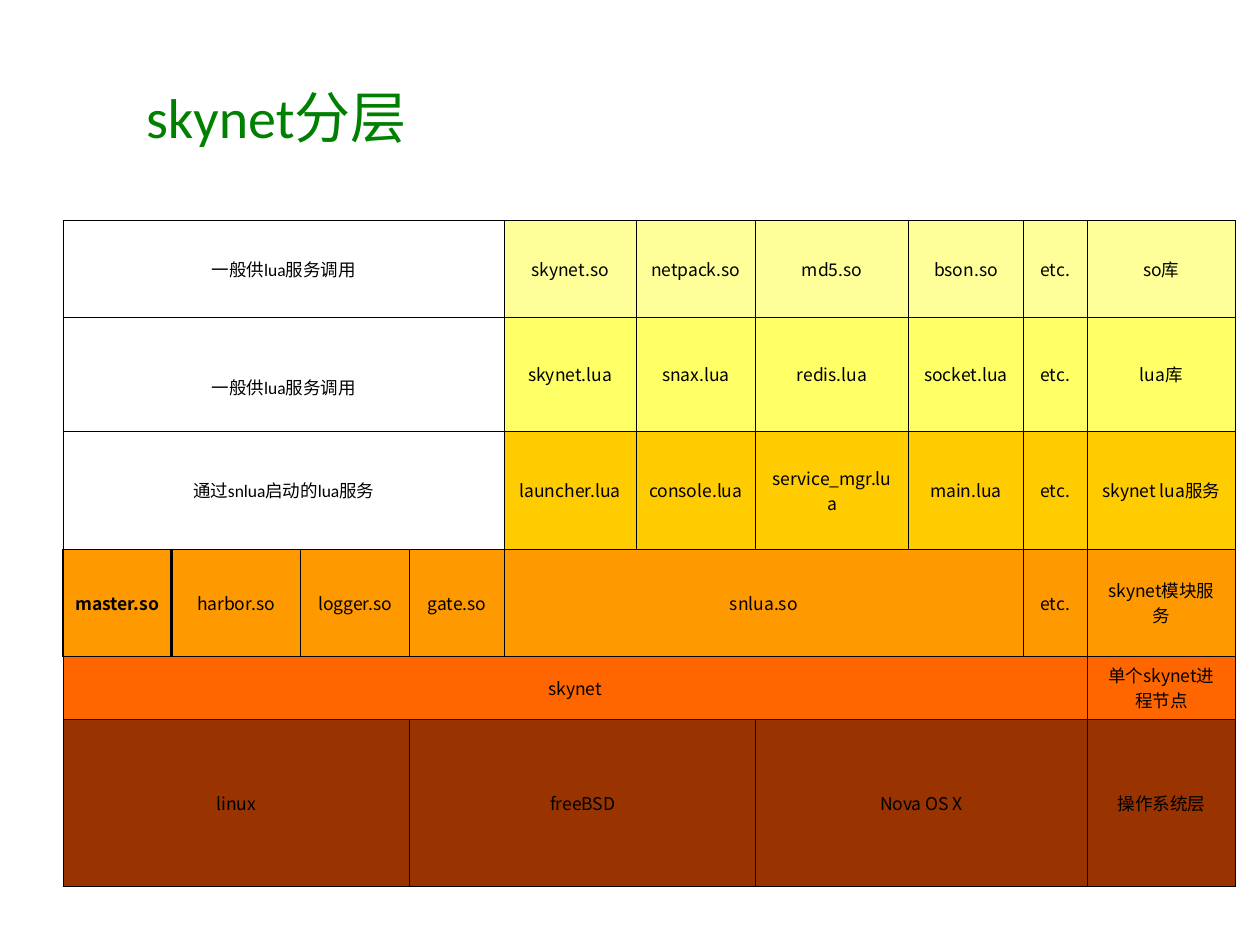
from dataclasses import dataclass
from typing import Optional

from lxml.etree import SubElement
from pptx import Presentation
from pptx.dml.color import RGBColor as RGB
from pptx.enum.text import MSO_ANCHOR as Anchor, PP_ALIGN as Align
from pptx.oxml.ns import qn
from pptx.util import Pt


@dataclass(frozen=True)
class Theme:
    title: str = "008000"
    ink: str = "000000"
    so_lib: str = "FFFF99"
    lua_lib: str = "FFFF66"
    lua_service: str = "FFCC00"
    module: str = "FF9900"
    process: str = "FF6600"
    system: str = "993300"
    latin: str = "Calibri"
    cjk: str = "Noto Sans CJK SC"
    title_size: float = 32
    cell_size: float = 10
    thin: float = 0.45
    thick: float = 1.47


@dataclass(frozen=True)
class Block:
    text: str
    span: int = 1
    bold: bool = False
    side_inset: float = 7.2
    top_inset: float = 3.6
    thick_sides: str = ""


@dataclass(frozen=True)
class Note(Block):
    """An unfilled remark beside the Lua layers."""
    span: int = 4


@dataclass(frozen=True)
class Layer:
    height: float
    fill: str
    blocks: tuple[Block, ...]


THEME = Theme()
COLUMNS = (62, 73.6, 62.6, 54, 75.2, 68.4, 87.4, 65.6, 36.6, 84.6)


def blocks(*names: str) -> tuple[Block, ...]:
    return tuple(Block(name) for name in names)


LAYERS = (
    Layer(55.4, THEME.so_lib, (
        Note("一般供lua服务调用"),
        *blocks("skynet.so", "netpack.so", "md5.so", "bson.so", "etc.", "so库"))),
    Layer(65, THEME.lua_lib, (
        Note("一般供lua服务调用", top_inset=18),
        *blocks("skynet.lua", "snax.lua", "redis.lua", "socket.lua", "etc.", "lua库"))),
    Layer(67.4, THEME.lua_service, (
        Note("通过snlua启动的lua服务"),
        Block("launcher.lua"),
        Block("console.lua", side_inset=6),
        Block("service_mgr.lua", side_inset=8),
        *blocks("main.lua", "etc."),
        Block("skynet lua服务", side_inset=8))),
    Layer(61.2, THEME.module, (
        Block("master.so", bold=True, side_inset=4, thick_sides="LR"),
        Block("harbor.so", thick_sides="L"),
        *blocks("logger.so", "gate.so"),
        Block("snlua.so", 4),
        *blocks("etc.", "skynet模块服务"))),
    Layer(36, THEME.process, (Block("skynet", 9), Block("单个skynet进程节点"))),
    Layer(95.4, THEME.system, (
        Block("linux", 3), Block("freeBSD", 3), Block("Nova OS X", 3),
        Block("操作系统层"))),
)


def add_run(p, text: str, size: float, color: str, latin: str, bold: bool = False) -> None:
    r = p.add_run()
    r.text = text
    font = r.font
    font.size, font.bold, font.name = Pt(size), bold, latin
    font.color.rgb = RGB.from_string(color)
    SubElement(r._r.get_or_add_rPr(), qn("a:ea")).set("typeface", THEME.cjk)


def set_borders(cell, thick_sides: str) -> None:
    tc_pr = cell._tc.get_or_add_tcPr()
    for side in "LRTB":
        width = THEME.thick if side in thick_sides else THEME.thin
        line = SubElement(tc_pr, qn(f"a:ln{side}"), w=str(int(Pt(width))))
        fill = SubElement(line, qn("a:solidFill"))
        SubElement(fill, qn("a:srgbClr"), val=THEME.ink)


def style_cell(cell, block: Block, fill: Optional[str]) -> None:
    set_borders(cell, block.thick_sides)
    if fill is None:
        cell.fill.background()
    else:
        cell.fill.solid()
        cell.fill.fore_color.rgb = RGB.from_string(fill)


def write_cell(cell, block: Block) -> None:
    cell.vertical_anchor = Anchor.MIDDLE
    cell.margin_left = cell.margin_right = Pt(block.side_inset)
    cell.margin_top, cell.margin_bottom = Pt(block.top_inset), Pt(3.6)
    p = cell.text_frame.paragraphs[0]
    p.alignment = Align.CENTER
    latin = THEME.latin if isinstance(block, Note) else THEME.cjk
    add_run(p, block.text, THEME.cell_size, THEME.ink, latin, block.bold)


def add_title(s, text: str) -> None:
    tf = s.shapes.add_textbox(Pt(76.4), Pt(21.6), Pt(572.4), Pt(90)).text_frame
    tf.word_wrap = True
    tf.vertical_anchor = Anchor.MIDDLE
    add_run(tf.paragraphs[0], text, THEME.title_size, THEME.title, THEME.latin)


def add_layer_table(s) -> None:
    height = sum(layer.height for layer in LAYERS)
    frame = s.shapes.add_table(len(LAYERS), len(COLUMNS), Pt(36), Pt(126),
                               Pt(sum(COLUMNS)), Pt(height))
    table = frame.table
    table.first_row = table.horz_banding = False
    for column, width in zip(table.columns, COLUMNS):
        column.width = Pt(width)
    for row, layer in enumerate(LAYERS):
        table.rows[row].height = Pt(layer.height)
        col = 0
        for block in layer.blocks:
            fill = None if isinstance(block, Note) else layer.fill
            end = col + block.span
            for i in range(col, end):
                style_cell(table.cell(row, i), block, fill)
            if block.span > 1:
                table.cell(row, col).merge(table.cell(row, end - 1))
            write_cell(table.cell(row, col), block)
            col = end


def main() -> None:
    prs = Presentation()
    prs.slide_width, prs.slide_height = Pt(720), Pt(540)
    s = prs.slides.add_slide(prs.slide_layouts[6])
    add_layer_table(s)
    add_title(s, "skynet分层")
    prs.save("out.pptx")


if __name__ == "__main__":
    main()
